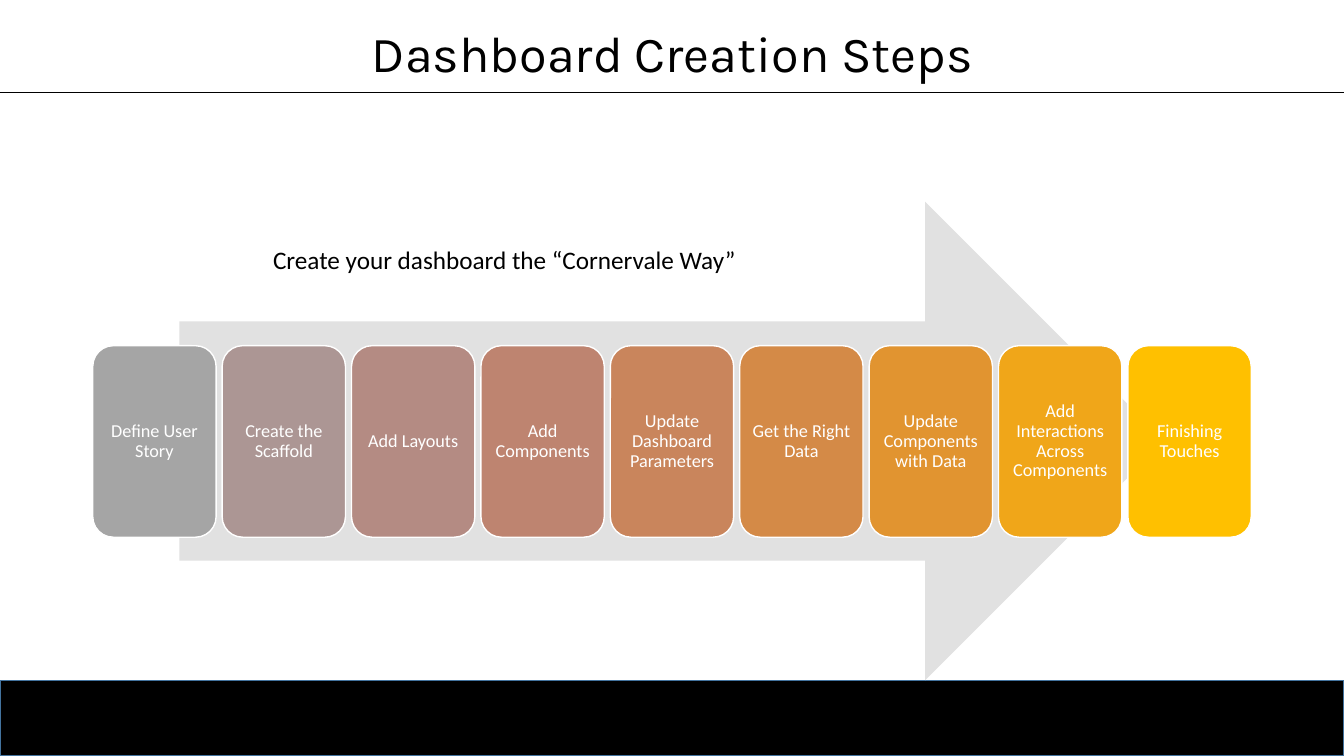
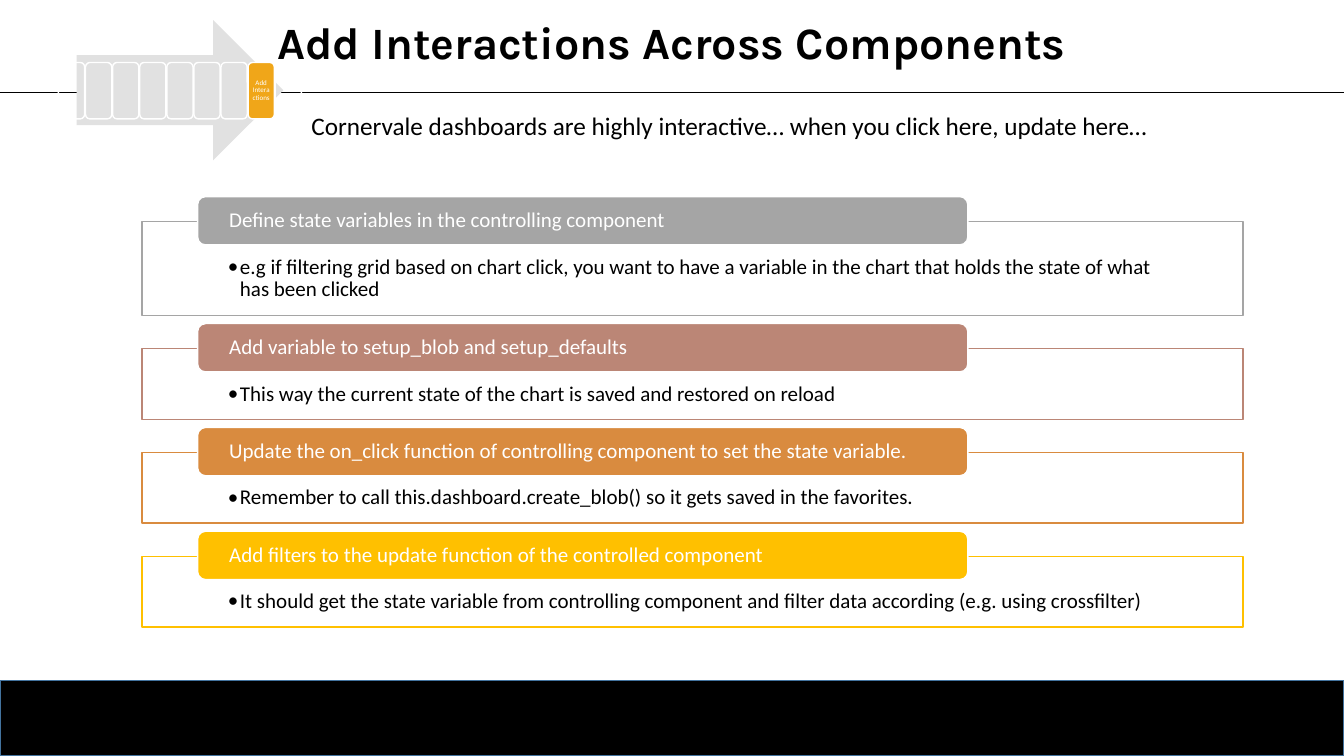
from lxml.etree import SubElement
from pptx import Presentation
from pptx.dml.color import RGBColor
from pptx.enum.shapes import MSO_CONNECTOR, MSO_SHAPE
from pptx.enum.text import MSO_ANCHOR, MSO_AUTO_SIZE, PP_ALIGN
from pptx.oxml.ns import qn
from pptx.util import Inches, Pt

BLACK, WHITE, ARROW_GRAY, BAND_EDGE = "000000", "FFFFFF", "E1E1E1", "43739E"
TITLE_FONT, BODY_FONT = "Karla", "Calibri"
SLIDE_WIDTH, SLIDE_HEIGHT, BAND_TOP, RULE_TOP = 13.33, 7.5, 6.75, 0.92


def color(code):
    return RGBColor.from_string(code)


def add_box(slide, kind, place, fill=None, line=None, text="", size=13,
            ink=WHITE, align=PP_ALIGN.CENTER, anchor=MSO_ANCHOR.MIDDLE,
            insets=(0.05, 0.05, 0.05, 0.05)):
    box = slide.shapes.add_shape(kind, *[Inches(v) for v in place])
    box.shadow.inherit = False
    if fill:
        box.fill.solid()
        box.fill.fore_color.rgb = color(fill)
    else:
        box.fill.background()
    if line:
        box.line.color.rgb = color(line)
        box.line.width = Pt(1)
    else:
        box.line.fill.background()
    if text:
        frame = box.text_frame
        frame.word_wrap = True
        frame.vertical_anchor = anchor
        (frame.margin_left, frame.margin_top,
         frame.margin_right, frame.margin_bottom) = [Inches(v) for v in insets]
        paragraph = frame.paragraphs[0]
        paragraph.text = text
        paragraph.alignment = align
        paragraph.line_spacing = 0.9
        paragraph.font.name = BODY_FONT
        paragraph.font.size = Pt(size)
        paragraph.font.color.rgb = color(ink)
    return box


prs = Presentation()
prs.slide_width, prs.slide_height = Inches(SLIDE_WIDTH), Inches(SLIDE_HEIGHT)
layout = prs.slide_layouts[5]
overview = prs.slides.add_slide(layout)
interactions = prs.slides.add_slide(layout)

band = add_box(overview, MSO_SHAPE.RECTANGLE,
               (0, BAND_TOP, SLIDE_WIDTH, SLIDE_HEIGHT - BAND_TOP), BLACK, BAND_EDGE)
rule = overview.shapes.add_connector(
    MSO_CONNECTOR.STRAIGHT, 0, Inches(RULE_TOP), Inches(SLIDE_WIDTH), Inches(RULE_TOP))
rule.line.color.rgb = color(BLACK)
rule.line.width = Pt(0.5)
SubElement(rule.element.spPr, qn("a:effectLst"))
for shared in (band, rule):
    layout.shapes.element.append(shared.element)

headings = [
    (overview, "Dashboard Creation Steps", (0.92, 0.22, 11.5, 0.68), 36, False,
     "Create your dashboard the “Cornervale Way”", (2.61, 2.37, 4.98, 0.4)),
    (interactions, "Add Interactions Across Components", (0, 0, SLIDE_WIDTH, 0.9), 32, True,
     "Cornervale dashboards are highly interactive… when you click here, update here…",
     (2.99, 1.05, 8.69, 0.4)),
]
for slide, heading, place, size, bold, subtitle, subtitle_place in headings:
    title = slide.shapes.title
    title.left, title.top, title.width, title.height = [Inches(v) for v in place]
    title.text_frame.text = heading
    title.text_frame.vertical_anchor = MSO_ANCHOR.MIDDLE
    paragraph = title.text_frame.paragraphs[0]
    paragraph.alignment = PP_ALIGN.CENTER
    paragraph.line_spacing = 0.9
    paragraph.font.name = TITLE_FONT
    paragraph.font.size = Pt(size)
    paragraph.font.bold = bold
    paragraph.font.color.rgb = color(BLACK)

    lead = slide.shapes.add_textbox(*[Inches(v) for v in subtitle_place])
    lead.text_frame.word_wrap = False
    lead.text_frame.auto_size = MSO_AUTO_SIZE.SHAPE_TO_FIT_TEXT
    paragraph = lead.text_frame.paragraphs[0]
    paragraph.text = subtitle
    paragraph.alignment = PP_ALIGN.LEFT
    paragraph.font.name = BODY_FONT
    paragraph.font.size = Pt(18)
    paragraph.font.color.rgb = color(BLACK)

steps = [
    ("Define User Story", "A5A5A5"),
    ("Create the Scaffold", "AC9694"),
    ("Add Layouts", "B48B83"),
    ("Add Components", "BE8470"),
    ("Update Dashboard Parameters", "C9855C"),
    ("Get the Right Data", "D48A47"),
    ("Update Components with Data", "E19430"),
    ("Add Interactions Across Components", "F0A619"),
    ("Finishing Touches", "FFC000"),
]
CURRENT_STEP = 7

add_box(overview, MSO_SHAPE.RIGHT_ARROW, (1.78, 2, 9.77, 4.75), ARROW_GRAY)
step_gap = 0.06
step_width = (11.49 - step_gap * (len(steps) - 1)) / len(steps)
for i, (label, fill) in enumerate(steps):
    left = 0.92 + i * (step_width + step_gap)
    add_box(overview, MSO_SHAPE.ROUNDED_RECTANGLE, (left, 3.43, step_width, 1.9),
            fill, WHITE, label)

add_box(interactions, MSO_SHAPE.RIGHT_ARROW, (0.76, 0.2, 2.05, 1.39), ARROW_GRAY)
mini_pitch = (2.73 - 0.58) / (len(steps) - 1)
for i, (label, fill) in enumerate(steps):
    current = i == CURRENT_STEP
    add_box(interactions, MSO_SHAPE.ROUNDED_RECTANGLE,
            (0.58 + i * mini_pitch, 0.62, 0.26, 0.56),
            fill if current else None, WHITE,
            "Add Interactions" if current else "", 5, insets=(0.02, 0.02, 0.02, 0.02))

tasks = [
    ("Define state variables in the controlling component",
     "e.g if filtering grid based on chart click, you want to have a variable in the chart "
     "that holds the state of what has been clicked", "A5A5A5", 0.93),
    ("Add variable to setup_blob and setup_defaults",
     "This way the current state of the chart is saved and restored on reload", "BB8676", 0.7),
    ("Update the on_click function of controlling component to set the state variable.",
     "Remember to call this.dashboard.create_blob() so it gets saved in the favorites.",
     "D98B3F", 0.7),
    ("Add filters to the update function of the controlled component",
     "It should get the state variable from controlling component and filter data according "
     "(e.g. using crossfilter)", "FFC000", 0.7),
]
task_top = 2.2
for task, detail, accent, height in tasks:
    panel = add_box(interactions, MSO_SHAPE.RECTANGLE, (1.41, task_top, 10.92, height),
                    WHITE, accent, detail, 15, BLACK, PP_ALIGN.LEFT, MSO_ANCHOR.TOP,
                    (0.85, 0.34, 0.85, 0.12))
    bullet = panel.text_frame.paragraphs[0]._p.get_or_add_pPr()
    bullet.set("marL", str(Inches(0.12)))
    bullet.set("indent", str(-Inches(0.12)))
    for tag, attributes in (("a:buFont", {"typeface": BODY_FONT}), ("a:buChar", {"char": "•"})):
        bullet.find(qn("a:defRPr")).addprevious(bullet.makeelement(qn(tag), attributes))
    SubElement(panel.element.spPr.find(qn("a:solidFill"))[0], qn("a:alpha"), val="90000")

    add_box(interactions, MSO_SHAPE.ROUNDED_RECTANGLE, (1.96, task_top - 0.25, 7.64, 0.48),
            accent, WHITE, task, 15, align=PP_ALIGN.LEFT, insets=(0.29, 0, 0.29, 0))
    task_top += height + 0.33

prs.save("out.pptx")
